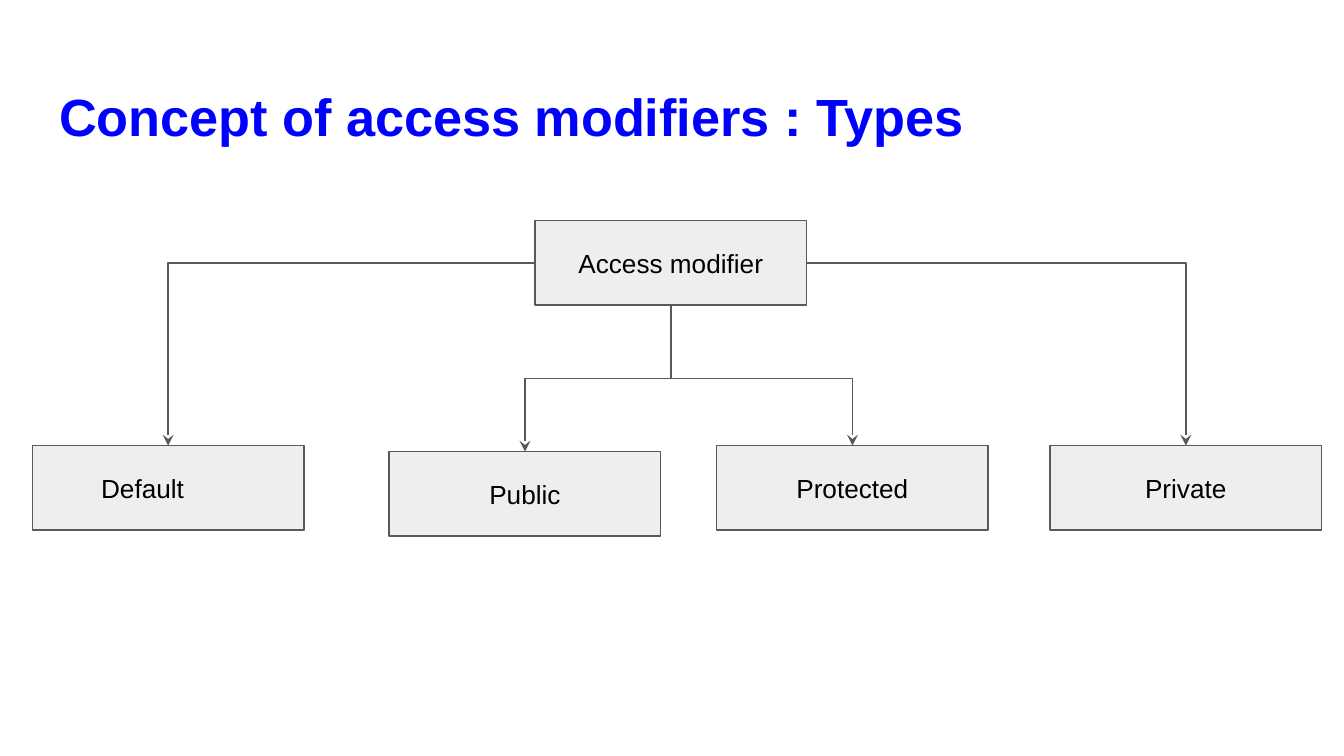
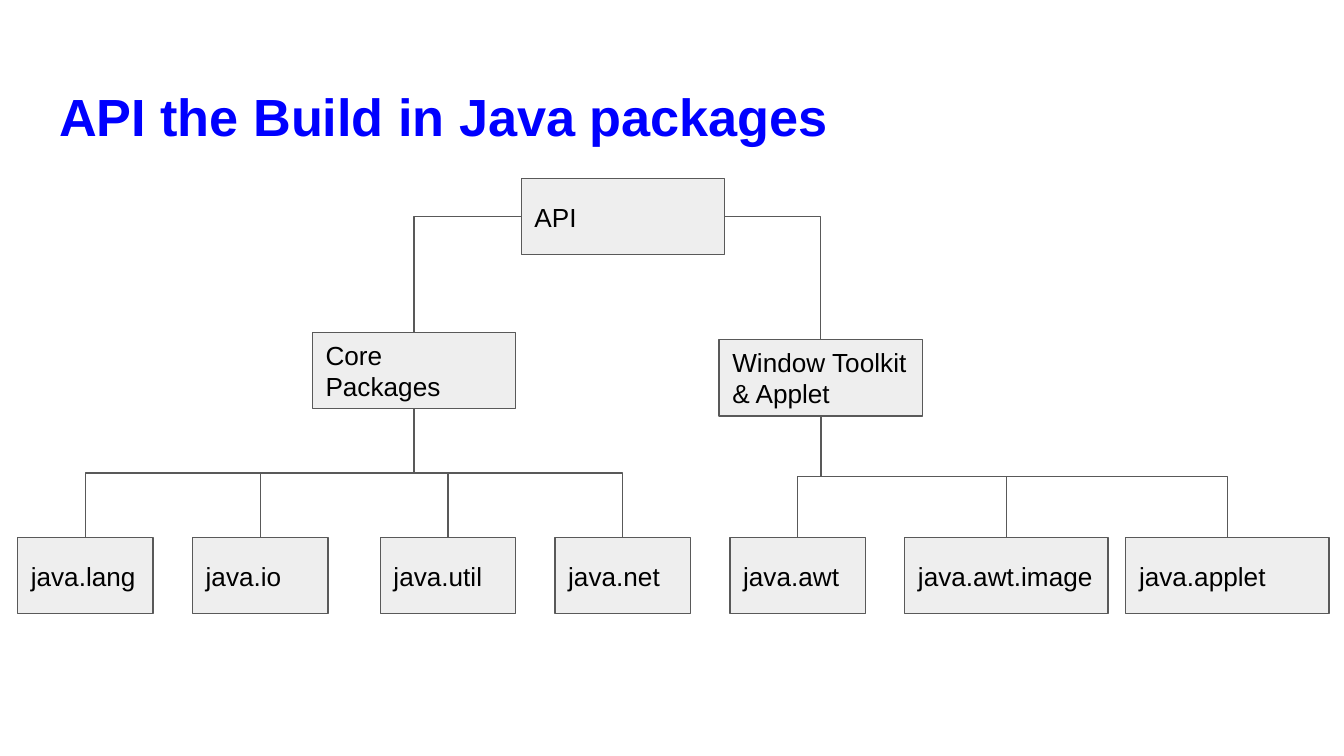
from lxml.etree import SubElement
from pptx import Presentation
from pptx.dml.color import RGBColor
from pptx.enum.shapes import MSO_CONNECTOR, MSO_SHAPE
from pptx.enum.text import MSO_ANCHOR, MSO_AUTO_SIZE, PP_ALIGN
from pptx.oxml.ns import qn
from pptx.util import Pt

BLUE = RGBColor(0x00, 0x00, 0xFF)
BLACK = RGBColor(0x00, 0x00, 0x00)
PALE_GREY = RGBColor(0xEE, 0xEE, 0xEE)
DARK_GREY = RGBColor(0x59, 0x59, 0x59)
FONT = "Arial"
TOP, LEFT, BOTTOM, RIGHT = range(4)


class TreeDeck:
    def __init__(self):
        self.deck = Presentation()
        self.deck.slide_width, self.deck.slide_height = Pt(720), Pt(405)

    def add_slide(self, heading):
        self.slide = self.deck.slides.add_slide(self.deck.slide_layouts[5])
        title = self.slide.shapes.title
        title.left, title.top = Pt(24.5), Pt(35)
        title.width, title.height = Pt(671), Pt(45.1)
        frame = title.text_frame
        frame.text = heading
        frame.auto_size = MSO_AUTO_SIZE.NONE
        self.set_frame(frame, MSO_ANCHOR.TOP, PP_ALIGN.LEFT, 28, BLUE, True)
        frame.margin_top = Pt(10)

    def set_frame(self, frame, anchor, align, size, color, bold=False):
        frame.word_wrap = True
        frame.vertical_anchor = anchor
        frame.margin_left = frame.margin_right = Pt(7.2)
        frame.margin_top = frame.margin_bottom = Pt(7.2)
        paragraph = frame.paragraphs[0]
        paragraph.alignment = align
        font = paragraph.font
        font.name, font.size, font.bold = FONT, Pt(size), bold
        font.color.rgb = color

    def node(self, label, left, top, width, height, align=PP_ALIGN.LEFT):
        box = self.slide.shapes.add_shape(
            MSO_SHAPE.RECTANGLE, Pt(left), Pt(top), Pt(width), Pt(height))
        box.shadow.inherit = False
        box.fill.solid()
        box.fill.fore_color.rgb = PALE_GREY
        box.line.color.rgb = DARK_GREY
        box.line.width = Pt(0.75)
        box.text_frame.text = label
        self.set_frame(box.text_frame, MSO_ANCHOR.MIDDLE, align, 14, BLACK)
        return box

    def elbow(self, parent, child, site, start_x, start_y, arrow):
        end_x, end_y = child.left + child.width // 2, child.top
        link = self.slide.shapes.add_connector(
            MSO_CONNECTOR.ELBOW, start_x, start_y, end_x, end_y)
        link.begin_connect(parent, site)
        link.end_connect(child, TOP)
        link.line.color.rgb = DARK_GREY
        link.line.width = Pt(0.75)
        properties = link._element.spPr
        if arrow:
            SubElement(properties.find(qn("a:ln")), qn("a:tailEnd"), type="stealth")
        SubElement(properties, qn("a:effectLst"))
        return link, properties, end_x - start_x, end_y - start_y

    def side_link(self, parent, child, site, arrow=False):
        start_x = parent.left + (parent.width if site == RIGHT else 0)
        start_y = parent.top + parent.height // 2
        _, properties, _, _ = self.elbow(parent, child, site, start_x, start_y, arrow)
        properties.find(qn("a:prstGeom")).set("prst", "bentConnector2")

    def drop_link(self, parent, child, arrow=False, bend=50000):
        start_x = parent.left + parent.width // 2
        start_y = parent.top + parent.height
        link, properties, run, fall = self.elbow(
            parent, child, BOTTOM, start_x, start_y, arrow)
        link.left = start_x + (run - fall) // 2
        link.top = start_y + (fall - abs(run)) // 2
        link.width, link.height = fall, abs(run)
        transform = properties.find(qn("a:xfrm"))
        transform.set("rot", "16200000" if run > 0 else "5400000")
        transform.set("flipH", "1" if run > 0 else "0")
        adjustments = properties.find(qn("a:prstGeom")).find(qn("a:avLst"))
        SubElement(adjustments, qn("a:gd"), name="adj1", fmla=f"val {bend}")

    def save(self):
        self.deck.save("out.pptx")


tree = TreeDeck()

tree.add_slide("Concept of access modifiers : Types")
modifier_nodes = [
    tree.node(label, left, top, 145.5, 45.2, PP_ALIGN.CENTER)
    for label, left, top in (
        ("Access modifier", 286.6, 118.3),
        ("Default\t", 17.4, 238.8),
        ("Public", 208.5, 242),
        ("Protected", 383.9, 238.8),
        ("Private", 562.5, 238.8),
    )
]
modifier, default, public, protected, private = modifier_nodes
tree.side_link(modifier, default, LEFT, arrow=True)
tree.drop_link(modifier, public, arrow=True)
tree.drop_link(modifier, protected, arrow=True, bend=52000)
tree.side_link(modifier, private, RIGHT, arrow=True)

NARROW, WIDE, NODE_HEIGHT, LEAF_TOP = 72.6, 109, 40.8, 288
tree.add_slide("API the Build in Java packages")
api = tree.node("API", 279.2, 95.7, WIDE, NODE_HEIGHT)
branches = (
    (LEFT, "Core Packages", 167.3, 178.1, (
        ("java.lang", 9.4, NARROW),
        ("java.io", 103.1, NARROW),
        ("java.util", 203.7, NARROW),
        ("java.net", 297.3, NARROW),
    )),
    (RIGHT, "Window Toolkit & Applet", 385.2, 182, (
        ("java.awt", 391, NARROW),
        ("java.awt.image", 484.7, WIDE),
        ("java.applet", 603.1, WIDE),
    )),
)
for side, group, group_left, group_top, packages in branches:
    group_node = tree.node(group, group_left, group_top, WIDE, NODE_HEIGHT)
    tree.side_link(api, group_node, side)
    for name, left, width in packages:
        leaf = tree.node(name, left, LEAF_TOP, width, NODE_HEIGHT)
        tree.drop_link(group_node, leaf)

tree.save()
